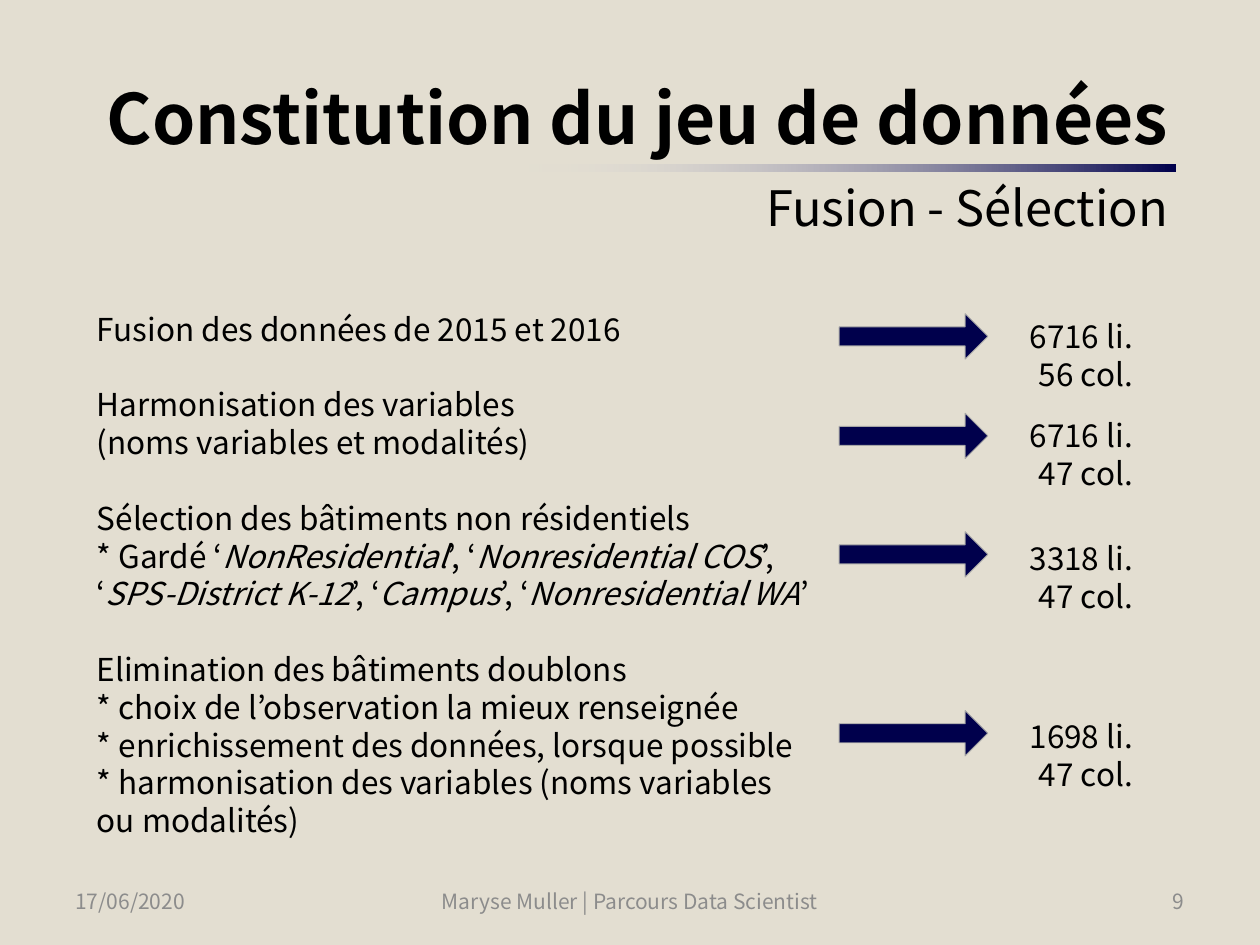
from lxml.etree import SubElement
from pptx import Presentation
from pptx.dml.color import RGBColor
from pptx.enum.shapes import MSO_SHAPE
from pptx.enum.text import MSO_ANCHOR, MSO_AUTO_SIZE, PP_ALIGN
from pptx.oxml.ns import qn
from pptx.util import Inches, Pt

COLORS = {
    "background": "E3DED1",
    "text": "000000",
    "muted": "8C8C8C",
    "navy": "00004C",
    "fade": "E2E2E5",
    "outline": "A6A6A6",
}

BLOCKS = [
    ["Fusion des données de 2015 et 2016"],
    ["Harmonisation des variables", "(noms variables et modalités)"],
    ["Sélection des bâtiments non résidentiels",
     "* Gardé ‘_NonResidential_’, ‘_Nonresidential COS_’,\v"
     "‘_SPS-District K-12_’, ‘_Campus_’, ‘_Nonresidential WA_’"],
    ["Elimination des bâtiments doublons",
     "* choix de l’observation la mieux renseignée",
     "* enrichissement des données, lorsque possible",
     "* harmonisation des variables (noms variables ou modalités)"],
]

STEPS = [
    (2.49, 2.47, "6716 li.", "56 col."),
    (3.28, 3.25, "6716 li.", "47 col."),
    (4.22, 4.23, "3318 li.", "47 col."),
    (5.64, 5.64, "1698 li.", "47 col."),
]

FOOTERS = [
    (0.5, 2.33, "17/06/2020", PP_ALIGN.LEFT),
    (3.15, 3.7, "Maryse Muller | Parcours Data Scientist", PP_ALIGN.CENTER),
    (7.17, 2.33, "9", PP_ALIGN.RIGHT),
]


def rgb(name):
    """Return the named palette colour."""
    return RGBColor.from_string(COLORS[name])


class SlideBuilder:
    """Hold the style and the current slide, and draw its elements."""

    font = "Noto Sans CJK JP"
    body_size = 18
    block_gap = 21.6

    def __init__(self, prs):
        self.slide = prs.slides.add_slide(prs.slide_layouts[5])
        fill = self.slide.background.fill
        fill.solid()
        fill.fore_color.rgb = rgb("background")

    def style(self, r, size, color="text", bold=False, italic=False):
        """Format one run."""
        r.font.name = self.font
        r.font.size = Pt(size)
        r.font.color.rgb = rgb(color)
        r.font.bold = bold
        r.font.italic = italic

    def title(self, heading, subtitle):
        """Fill and place the title with its subtitle."""
        sp = self.slide.shapes.title
        sp.left, sp.top = Inches(0.59), Inches(0.65)
        sp.width, sp.height = Inches(8.78), Inches(1.17)
        tf = sp.text_frame
        tf.auto_size = MSO_AUTO_SIZE.NONE
        tf.vertical_anchor = MSO_ANCHOR.MIDDLE
        tf.text = f"{heading}\n{subtitle}"
        for p, size, bold, gap in zip(tf.paragraphs, (39.6, 27.9), (True, False), (0, 10.8)):
            p.alignment = PP_ALIGN.RIGHT
            p.space_before = Pt(gap)
            self.style(p.runs[0], size, bold=bold)

    def text(self, x, y, w, h, blocks, align=PP_ALIGN.LEFT, size=body_size,
             color="text", anchor=MSO_ANCHOR.TOP):
        """Add spaced blocks of lines; underscores enclose italic words."""
        tf = self.slide.shapes.add_textbox(Inches(x), Inches(y), Inches(w), Inches(h)).text_frame
        tf.word_wrap = True
        tf.vertical_anchor = anchor
        tf.text = "\n".join(line for block in blocks for line in block)
        paragraphs = iter(tf.paragraphs)
        for i, block in enumerate(blocks):
            for j, line in enumerate(block):
                p = next(paragraphs)
                p.alignment = align
                if i and not j:
                    p.space_before = Pt(self.block_gap)
                p.text = ""
                for k, part in enumerate(line.split("_")):
                    for n, piece in enumerate(part.split("\v")):
                        if n:
                            p.add_line_break()
                        r = p.add_run()
                        r.text = piece
                        self.style(r, size, color, italic=k % 2 == 1)

    def shape(self, kind, x, y, w, h):
        """Add a preset shape without a shadow."""
        sp = self.slide.shapes.add_shape(kind, Inches(x), Inches(y), Inches(w), Inches(h))
        sp.shadow.inherit = False
        return sp

    def arrow(self, y):
        """Add an arrow towards a row count."""
        sp = self.shape(MSO_SHAPE.RIGHT_ARROW, 6.66, y, 1.18, 0.36)
        sp.adjustments[0], sp.adjustments[1] = 0.42, 0.5
        sp.fill.solid()
        sp.fill.fore_color.rgb = rgb("navy")
        sp.line.color.rgb = rgb("outline")
        sp.line.width = Pt(0.5)

    def fading_rule(self):
        """Add the rule that fades out to the left."""
        sp = self.shape(MSO_SHAPE.RECTANGLE, 4.18, 1.31, 5.15, 0.05)
        sp.line.fill.background()
        sp.fill.gradient()
        sp.fill.gradient_angle = 180
        for stop, position, name in zip(sp.fill.gradient_stops, (0, 1), ("navy", "fade")):
            stop.position = position
            stop.color.rgb = rgb(name)
        last_color = list(sp._element.spPr.iter(qn("a:srgbClr")))[-1]
        SubElement(last_color, qn("a:alpha")).set("val", "0")


def main():
    """Build and save the slide."""
    prs = Presentation()
    prs.slide_width, prs.slide_height = Inches(10), Inches(7.5)
    s = SlideBuilder(prs)
    s.title("Constitution du jeu de données", "Fusion - Sélection")
    for x, w, label, align in FOOTERS:
        s.text(x, 6.95, w, 0.4, [[label]], align, 12, "muted", MSO_ANCHOR.MIDDLE)
    s.fading_rule()
    s.text(0.67, 2.41, 5.91, 5.25, BLOCKS)
    for arrow_y, count_y, rows, columns in STEPS:
        s.arrow(arrow_y)
        s.text(7.76, count_y, 1.33, 0.71, [[rows, columns]], PP_ALIGN.RIGHT)
    prs.save("out.pptx")


if __name__ == "__main__":
    main()
